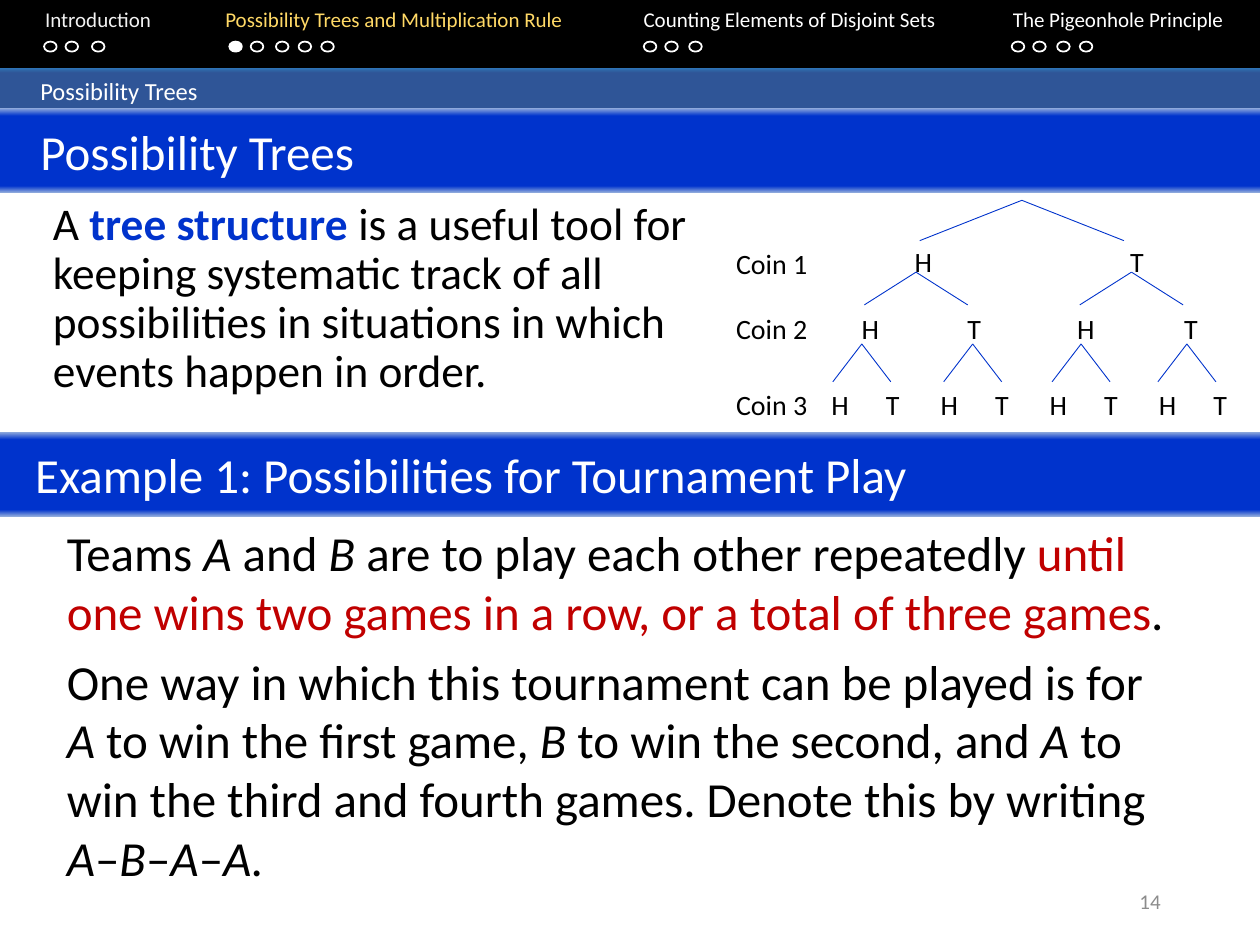
from copy import deepcopy

from pptx import Presentation
from pptx.dml.color import RGBColor
from pptx.enum.shapes import MSO_CONNECTOR as Connector, MSO_SHAPE as Shape
from pptx.enum.text import MSO_ANCHOR as Anchor, MSO_AUTO_SIZE as AutoSize, PP_ALIGN as Align
from pptx.oxml.ns import qn
from pptx.oxml.xmlchemy import OxmlElement
from pptx.util import Inches, Pt

COLORS = {
    "black": "000000", "white": "FFFFFF", "pale": "F2F2F2", "gold": "FFD966",
    "blue": "0033CC", "light blue": "8FAADC", "red": "C00000", "gray": "8C8C8C",
    "strip": "2F5597", "strip edge": "2E75B6",
}
TITLE_GRADIENT = [(0, "light blue"), (0.09, "blue"), (0.92, "blue"), (1, "light blue")]
STRIP_GRADIENT = [(0, "strip edge"), (0.11, "strip"), (0.91, "strip"), (1, "strip edge")]


def rgb(name):
    return RGBColor.from_string(COLORS[name])


class SlideBuilder:
    font = "Calibri"

    def __init__(self, slide):
        self.slide = slide
        self.target = slide.shapes

    def start_group(self):
        self.target = self.slide.shapes.add_group_shape().shapes

    def place(self, shape, left, top, width, height):
        shape.left, shape.top = Inches(left), Inches(top)
        shape.width, shape.height = Inches(width), Inches(height)

    def style_run(self, run, size, color, bold=False, italic=False):
        font = run.font
        font.name, font.size = self.font, Pt(size)
        font.bold, font.italic = bold, italic
        font.color.rgb = rgb(color)

    def fill_text(self, shape, text, size, color, align=Align.LEFT, anchor=Anchor.TOP):
        frame = shape.text_frame
        frame.text = text
        frame.word_wrap = True
        frame.vertical_anchor = anchor
        paragraph = frame.paragraphs[0]
        paragraph.alignment = align
        self.style_run(paragraph.runs[0], size, color)

    def add_runs(self, paragraph, pieces, size):
        for text, color, *marks in pieces:
            run = paragraph.add_run()
            run.text = text
            self.style_run(run, size, color, "bold" in marks, "italic" in marks)

    def box(self, kind, left, top, width, height, fill=None, line=None):
        shape = self.target.add_shape(kind, *map(Inches, (left, top, width, height)))
        shape.shadow.inherit = False
        if fill:
            shape.fill.solid()
            shape.fill.fore_color.rgb = rgb(fill)
        else:
            shape.fill.background()
        if line:
            shape.line.color.rgb = rgb(line)
            shape.line.width = Pt(1)
        else:
            shape.line.fill.background()
        return shape

    def band(self, shape, text, size, gradient, indent=0.32):
        """Full-width heading with a vertical gradient."""
        shape.fill.gradient()
        shape.fill.gradient_angle = 270
        stop_list = shape._element.spPr.find(".//" + qn("a:gsLst"))
        while len(stop_list) < len(gradient):
            stop_list.append(deepcopy(stop_list[0]))
        for stop, (position, color) in zip(shape.fill.gradient_stops, gradient):
            stop.position = position
            stop.color.rgb = rgb(color)
        self.fill_text(shape, text, size, "white", anchor=Anchor.MIDDLE)
        shape.text_frame.margin_left = Inches(indent)
        shape.text_frame.auto_size = AutoSize.NONE

    def label(self, text, left, top, width, height, size, color="black", **layout):
        textbox = self.target.add_textbox(*map(Inches, (left, top, width, height)))
        self.fill_text(textbox, text, size, color, **layout)

    def tabbed_line(self, entries, left, top, width, height, size):
        """One line of (tab stop, text, color) entries."""
        textbox = self.target.add_textbox(*map(Inches, (left, top, width, height)))
        textbox.text_frame.word_wrap = True
        paragraph = textbox.text_frame.paragraphs[0]
        tab_list = OxmlElement("a:tabLst")
        for stop, _, _ in entries:
            tab = OxmlElement("a:tab")
            tab.set("pos", str(Inches(stop)))
            tab.set("algn", "l")
            tab_list.append(tab)
        paragraph._p.get_or_add_pPr().append(tab_list)
        self.add_runs(paragraph, [("\t" + text, color) for _, text, color in entries], size)

    def body(self, placeholder, bounds, paragraphs, size, spacing=1.0):
        self.place(placeholder, *bounds)
        frame = placeholder.text_frame
        frame.auto_size = AutoSize.NONE
        for index, pieces in enumerate(paragraphs):
            paragraph = frame.add_paragraph() if index else frame.paragraphs[0]
            paragraph.space_before = Pt(6)
            paragraph.line_spacing = spacing
            properties = paragraph._p.get_or_add_pPr()
            properties.set("marL", "0")
            properties.set("indent", "0")
            properties.append(OxmlElement("a:buNone"))
            self.add_runs(paragraph, pieces, size)

    def line(self, x1, y1, x2, y2):
        connector = self.target.add_connector(Connector.STRAIGHT, *map(Inches, (x1, y1, x2, y2)))
        connector.line.color.rgb = rgb("blue")
        connector.line.width = Pt(0.5)
        connector._element.spPr.append(OxmlElement("a:effectLst"))


def main():
    deck = Presentation()
    deck.slide_width, deck.slide_height = Inches(10), Inches(7.5)
    slide = deck.slides.add_slide(deck.slide_layouts[3])
    for extra in [p for p in slide.placeholders if p.placeholder_format.idx > 2]:
        extra._element.getparent().remove(extra._element)
    title, definition, example = slide.placeholders
    builder = SlideBuilder(slide)

    # Navigation header
    builder.box(Shape.RECTANGLE, 0, -0.02, 10, 0.56, fill="black")
    builder.tabbed_line([
        (0.26, "Introduction", "pale"),
        (1.69, "Possibility Trees and Multiplication Rule", "gold"),
        (5.01, "Counting Elements of Disjoint Sets", "white"),
        (7.94, "The Pigeonhole Principle", "white"),
    ], 0, 0, 10, 0.5, 12)

    # Progress dots, the current one filled
    progress = [0.35, 0.52, 0.73, 1.82, 1.99, 2.19, 2.37, 2.55,
                5.11, 5.28, 5.47, 8.03, 8.2, 8.39, 8.57]
    current = 1.82
    for x in progress:
        builder.box(Shape.OVAL, x, 0.33, 0.1, 0.08,
                    fill="white" if x == current else None, line="white")

    # Headings; the title lies over the lower edge of the section strip
    section = builder.box(Shape.RECTANGLE, 0, 0.54, 10, 0.36)
    builder.band(section, "Possibility Trees", 14, STRIP_GRADIENT)
    builder.place(title, 0, 0.86, 10, 0.67)
    builder.band(title, "Possibility Trees", 28, TITLE_GRADIENT)
    slide.shapes.element.append(title._element)
    example_heading = builder.box(Shape.RECTANGLE, 0, 3.43, 10, 0.67)
    builder.band(example_heading, "Example 1: Possibilities for Tournament Play", 28,
                 TITLE_GRADIENT, indent=0.28)

    # Definition
    builder.body(definition, (0.32, 1.55, 5.6, 1.71), [[
        ("A ", "black"),
        ("tree structure ", "blue", "bold"),
        ("is a useful tool for keeping systematic track of all possibilities "
         "in situations in which events happen in order.", "black"),
    ]], 25.9, spacing=0.9)

    # Example
    team_a, team_b = ("A", "black", "italic"), ("B", "black", "italic")
    dash = ("–", "black")
    builder.body(example, (0.43, 4.1, 9, 2.99), [
        [("Teams ", "black"), team_a, (" and ", "black"), team_b,
         (" are to play each other repeatedly ", "black"),
         ("until one wins two games in a row, or a total of three games", "red"),
         (".", "black")],
        [("One way in which this tournament can be played is for ", "black"), team_a,
         (" to win the first game, ", "black"), team_b,
         (" to win the second, and ", "black"), team_a,
         (" to win the third and fourth games. Denote this by writing ", "black"),
         team_a, dash, team_b, dash, team_a, dash, ("A.", "black", "italic")],
    ], 28)

    # Coin tree: node lefts per level, then forks as (apexes, top, bottom, half width)
    builder.start_group()
    levels = [
        (1.89, 1.91, [7.16, 8.87]),
        (2.42, 2.42, [6.74, 7.58, 8.45, 9.3]),
        (3.03, 3.03, [6.5 + 0.433 * i for i in range(8)]),
    ]
    for number, (node_top, coin_top, lefts) in enumerate(levels, 1):
        builder.label(f"Coin {number}", 5.71, coin_top, 0.83, 0.37, 16, align=Align.CENTER)
        for index, left in enumerate(lefts):
            builder.label("HT"[index % 2], left, node_top, 0.25, 0.37, 16, align=Align.CENTER)
    forks = [
        ([8.11], 1.59, 1.91, 0.81),
        ([7.27, 8.98], 2.16, 2.42, 0.41),
        ([6.84, 7.72, 8.58, 9.42], 2.73, 3.03, 0.23),
    ]
    for apexes, top, bottom, reach in forks:
        for apex in apexes:
            builder.line(apex, top, apex - reach, bottom)
            builder.line(apex + reach, bottom, apex, top)
    builder.target = slide.shapes

    # Page number
    builder.label("14", 7.06, 6.95, 2.25, 0.4, 12, "gray",
                  align=Align.RIGHT, anchor=Anchor.MIDDLE)
    deck.save("out.pptx")


if __name__ == "__main__":
    main()
